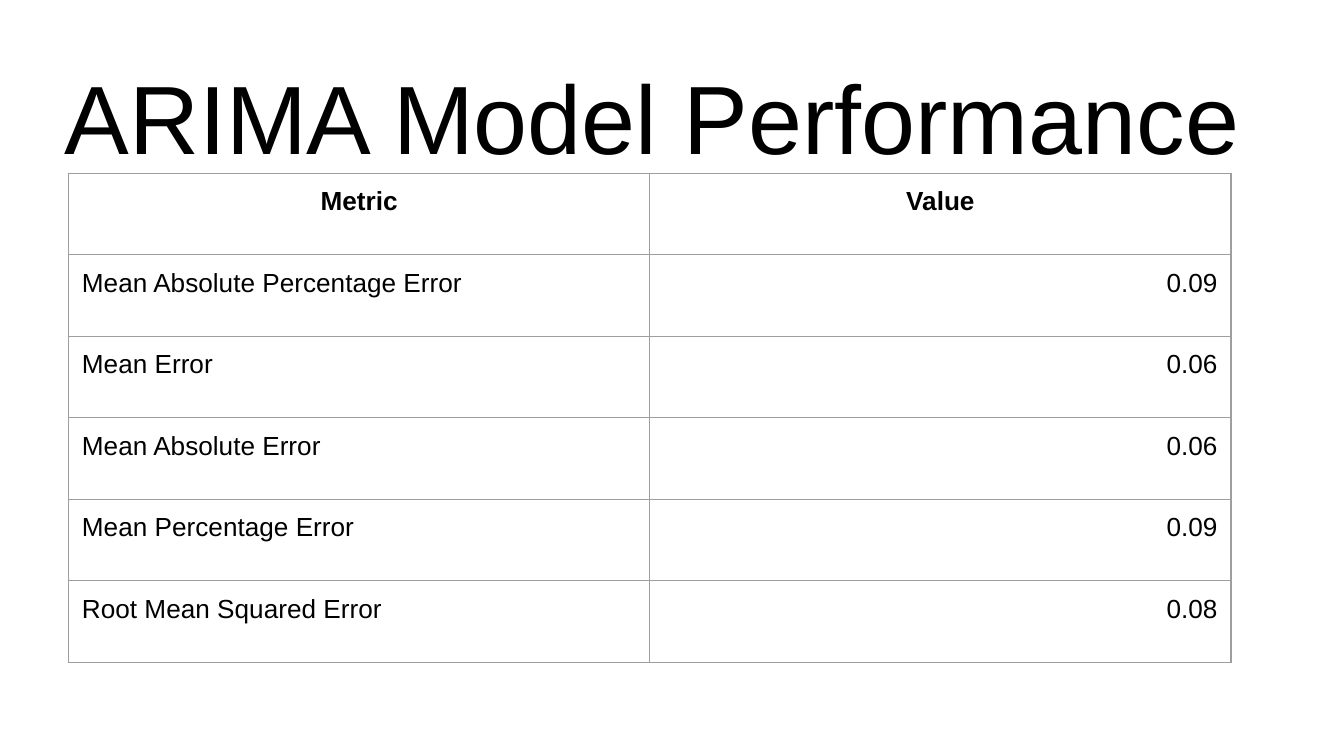
from dataclasses import dataclass
from typing import NamedTuple

from lxml.etree import SubElement
from pptx import Presentation
from pptx.dml.color import RGBColor
from pptx.enum.text import MSO_ANCHOR, MSO_AUTO_SIZE, PP_ALIGN
from pptx.oxml.ns import qn
from pptx.util import Inches, Pt


@dataclass(frozen=True)
class Theme:
    """Colours, type and line sizes of the slide."""

    font: str = "Arial"
    ink: str = "000000"
    paper: str = "FFFFFF"
    rule: str = "9E9E9E"
    title_size: float = 52
    cell_size: float = 14
    rule_width: float = 0.75
    inset: float = 0.1


class Grid(NamedTuple):
    """Table origin and overall size in inches."""

    left: float
    top: float
    width: float
    height: float


class Metric(NamedTuple):
    """One measure of model accuracy."""

    name: str
    value: str


THEME = Theme()
SLIDE_WIDTH = Inches(10)
SLIDE_HEIGHT = SLIDE_WIDTH * 9 // 16
GRID = Grid(left=0.51, top=1.29, width=8.65, height=3.64)
HEADER = Metric("Metric", "Value")
METRICS = [
    Metric("Mean Absolute Percentage Error", "0.09"),
    Metric("Mean Error", "0.06"),
    Metric("Mean Absolute Error", "0.06"),
    Metric("Mean Percentage Error", "0.09"),
    Metric("Root Mean Squared Error", "0.08"),
]


def write(tf, text: str, size: float, align: PP_ALIGN, bold: bool = False) -> None:
    """Add one formatted run to the first paragraph."""
    p = tf.paragraphs[0]
    p.alignment = align
    r = p.add_run()
    r.text = text
    r.font.name = THEME.font
    r.font.size = Pt(size)
    r.font.bold = bold
    r.font.color.rgb = RGBColor.from_string(THEME.ink)


def set_insets(box) -> None:
    """Give a text frame or cell the same inset on every side."""
    box.margin_left = box.margin_right = Inches(THEME.inset)
    box.margin_top = box.margin_bottom = Inches(THEME.inset)


def add_title(s, text: str) -> None:
    """Place and fill the title placeholder."""
    sp = s.shapes.title
    sp.left, sp.top = Inches(0.38), Inches(0.33)
    sp.width, sp.height = Inches(9.32), Inches(0.63)
    tf = sp.text_frame
    tf.word_wrap = True
    tf.auto_size = MSO_AUTO_SIZE.NONE
    tf.vertical_anchor = MSO_ANCHOR.TOP
    set_insets(tf)
    write(tf, text, THEME.title_size, PP_ALIGN.LEFT)


def style_cell(cell) -> None:
    """Set insets, borders and fill of a cell."""
    set_insets(cell)
    tc_pr = cell._tc.get_or_add_tcPr()
    for side in ("lnL", "lnR", "lnT", "lnB"):
        ln = SubElement(tc_pr, qn(f"a:{side}"), w=str(Pt(THEME.rule_width)))
        fill = SubElement(ln, qn("a:solidFill"))
        SubElement(fill, qn("a:srgbClr"), val=THEME.rule)
    cell.fill.background()


def add_metrics(s, grid: Grid, header: Metric, metrics: list[Metric]) -> None:
    """Draw the metrics as a ruled table."""
    rows = [header, *metrics]
    frame = s.shapes.add_table(len(rows), len(header), *map(Inches, grid))
    table = frame.table
    table.first_row = table.horz_banding = False
    for i, row in enumerate(rows):
        is_header = i == 0
        aligns = [PP_ALIGN.CENTER] * 2 if is_header else [PP_ALIGN.LEFT, PP_ALIGN.RIGHT]
        for j, (text, align) in enumerate(zip(row, aligns)):
            cell = table.cell(i, j)
            style_cell(cell)
            write(cell.text_frame, text, THEME.cell_size, align, is_header)


def main() -> None:
    """Build and save the slide."""
    prs = Presentation()
    prs.slide_width, prs.slide_height = SLIDE_WIDTH, SLIDE_HEIGHT
    s = prs.slides.add_slide(prs.slide_layouts[5])
    s.background.fill.solid()
    s.background.fill.fore_color.rgb = RGBColor.from_string(THEME.paper)
    add_title(s, "ARIMA Model Performance")
    add_metrics(s, GRID, HEADER, METRICS)
    prs.save("out.pptx")


if __name__ == "__main__":
    main()
